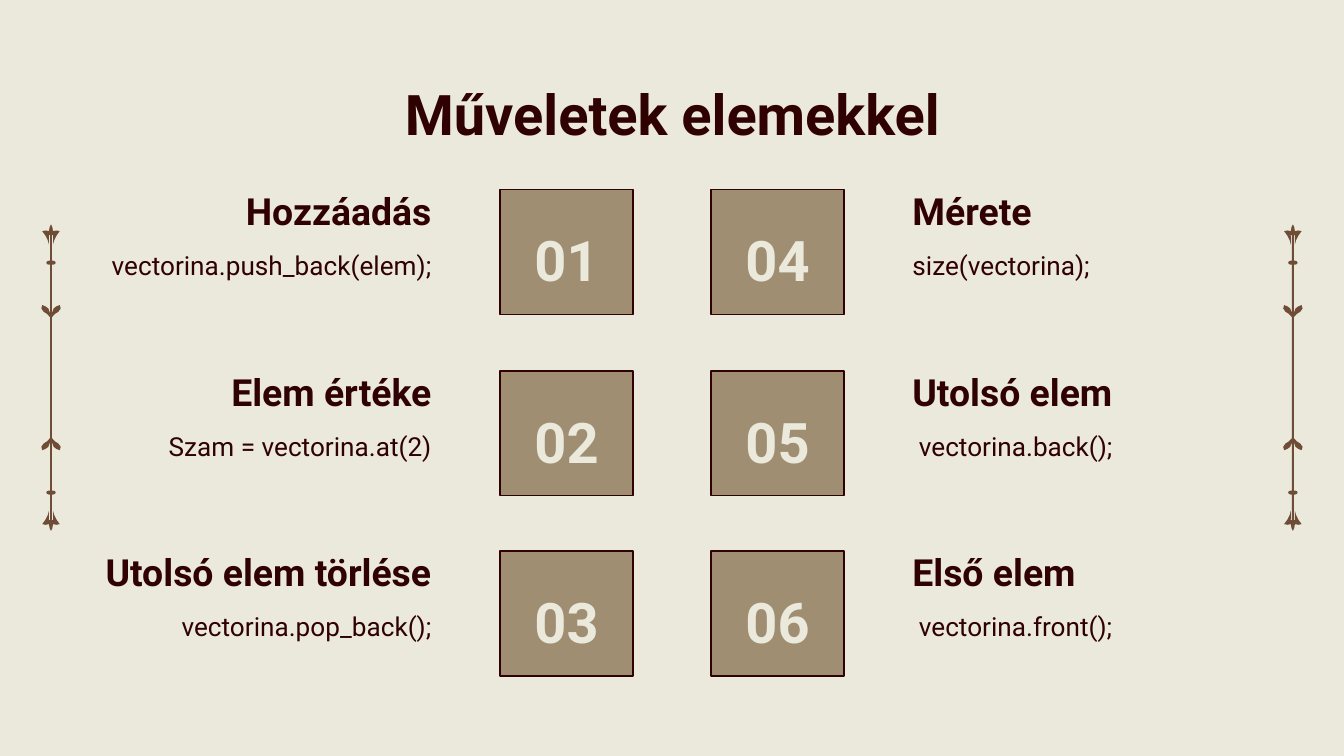
from pptx import Presentation
from pptx.dml.color import RGBColor
from pptx.enum.shapes import MSO_SHAPE
from pptx.enum.text import MSO_ANCHOR, PP_ALIGN
from pptx.util import Inches, Pt

FONT = "Roboto"
COLORS = {"paper": "EBE9DC", "ink": "300101", "tile": "A08E73", "ornament": "6F4C36"}

ROW_TOPS = [1.41, 2.76, 4.1]
TILE_LEFTS = [3.72, 5.29]
LEFT_TEXT_EDGE = 3.31
RIGHT_TEXT_EDGE = 6.69
TEXT_WIDTH = 2.52

# heading, code, heading width, code width
LEFT_OPERATIONS = [
    ("Hozzáadás", "vectorina.push_back(elem);", TEXT_WIDTH, 2.59),
    ("Elem értéke", "Szam = vectorina.at(2)", TEXT_WIDTH, TEXT_WIDTH),
    ("Utolsó elem törlése", "vectorina.pop_back();", 3.2, TEXT_WIDTH),
]
RIGHT_OPERATIONS = [
    ("Mérete", "size(vectorina);", TEXT_WIDTH, TEXT_WIDTH),
    ("Utolsó elem", " vectorina.back();", TEXT_WIDTH, TEXT_WIDTH),
    ("Első elem", " vectorina.front();", TEXT_WIDTH, TEXT_WIDTH),
]

ORNAMENT_CENTERS = [0.38, 9.62]
ORNAMENT_MIDDLE = 2.81
# Upper right quarter, from tip to middle: hundredths of an inch off the centre
ORNAMENT_QUARTER = [
    (0, 114), (1, 112), (1.5, 109), (4, 109.5), (6.5, 109), (4, 105.5),
    (2.3, 102), (1.5, 99), (1.5, 104), (1.6, 106), (0.7, 106),
    (0.7, 87), (1.5, 87), (3, 86.5), (3.5, 85.5), (3, 84.5), (1.5, 84), (0.7, 84),
    (0.7, 48), (2, 51.5), (4, 53), (6.5, 54), (7.2, 51.5), (5.5, 49),
    (3, 47.5), (0.7, 45),
]


def color(name):
    return RGBColor.from_string(COLORS[name])


def write(shape, text, size, ink="ink", bold=False, align=PP_ALIGN.LEFT,
          anchor=MSO_ANCHOR.TOP, spacing=1.15, top=0.1, bottom=0.1):
    frame = shape.text_frame
    frame.word_wrap = True
    frame.vertical_anchor = anchor
    frame.margin_left = frame.margin_right = Inches(0.1)
    frame.margin_top, frame.margin_bottom = Inches(top), Inches(bottom)
    para = frame.paragraphs[0]
    para.alignment = align
    para.line_spacing = spacing
    span = para.add_run()
    span.text = text
    span.font.name = FONT
    span.font.size = Pt(size)
    span.font.bold = bold
    span.font.color.rgb = color(ink)


def add_text(page, left, top, width, height, text, size, **style):
    box = page.shapes.add_textbox(Inches(left), Inches(top), Inches(width), Inches(height))
    write(box, text, size, **style)


def add_tile(page, left, top, number):
    tile = page.shapes.add_shape(MSO_SHAPE.RECTANGLE, Inches(left), Inches(top),
                                 Inches(0.99), Inches(0.93))
    tile.shadow.inherit = False
    tile.fill.solid()
    tile.fill.fore_color.rgb = color("tile")
    tile.line.color.rgb = color("ink")
    tile.line.width = Pt(0.75)
    write(tile, f"{number:02d}", 30, ink="paper", bold=True, align=PP_ALIGN.CENTER,
          anchor=MSO_ANCHOR.BOTTOM, top=0, bottom=0.16)


def add_operation(page, top, operation, on_left):
    """Add a heading with its code below, on one side of the tiles."""
    heading, code, heading_width, code_width = operation
    align = PP_ALIGN.RIGHT if on_left else PP_ALIGN.LEFT

    def left_of(width):
        return LEFT_TEXT_EDGE - width if on_left else RIGHT_TEXT_EDGE

    add_text(page, left_of(code_width), top + 0.31, code_width, 0.63, code, 14, align=align)
    add_text(page, left_of(heading_width), top, heading_width, 0.42, heading, 20,
             bold=True, align=align, anchor=MSO_ANCHOR.BOTTOM)


def add_ornament(page, center):
    """Mirror the quarter outline both ways into a double-ended arrow."""
    right = ORNAMENT_QUARTER + [(x, -y) for x, y in reversed(ORNAMENT_QUARTER)]
    outline = right + [(-x, y) for x, y in reversed(right)]
    points = [(Inches(center + x / 100), Inches(ORNAMENT_MIDDLE - y / 100))
              for x, y in outline]
    builder = page.shapes.build_freeform(*points[0])
    builder.add_line_segments(points[1:], close=True)
    ornament = builder.convert_to_shape()
    ornament.shadow.inherit = False
    ornament.fill.solid()
    ornament.fill.fore_color.rgb = color("ornament")
    ornament.line.fill.background()


def main():
    deck = Presentation()
    deck.slide_width = Inches(10)
    deck.slide_height = deck.slide_width * 9 // 16
    page = deck.slides.add_slide(deck.slide_layouts[6])
    page.background.fill.solid()
    page.background.fill.fore_color.rgb = color("paper")

    for center in ORNAMENT_CENTERS:
        add_ornament(page, center)
    add_text(page, 0.79, 0.49, 8.43, 0.63, "Műveletek elemekkel", 30,
             bold=True, align=PP_ALIGN.CENTER, spacing=1.0)
    for column, operations in enumerate([LEFT_OPERATIONS, RIGHT_OPERATIONS]):
        for row, (top, operation) in enumerate(zip(ROW_TOPS, operations)):
            add_tile(page, TILE_LEFTS[column], top, column * len(ROW_TOPS) + row + 1)
            add_operation(page, top, operation, on_left=column == 0)
    deck.save("out.pptx")


if __name__ == "__main__":
    main()
